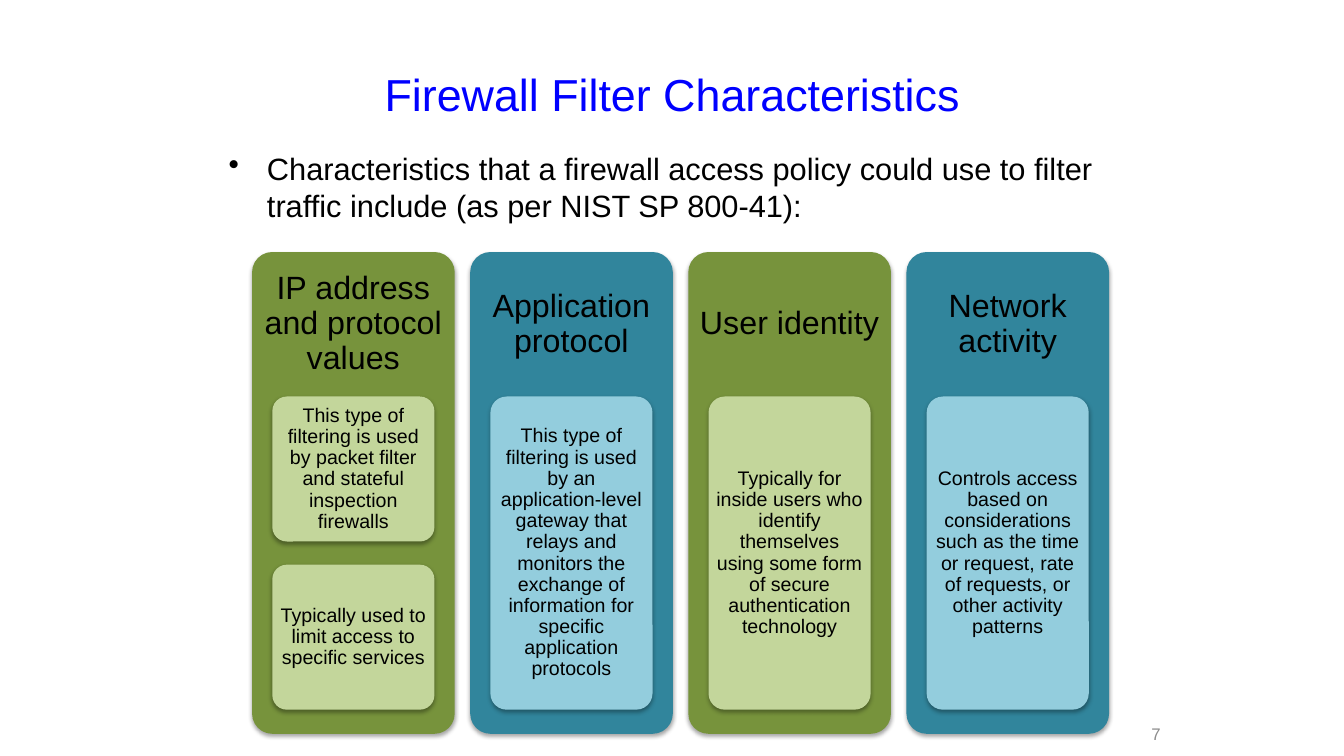
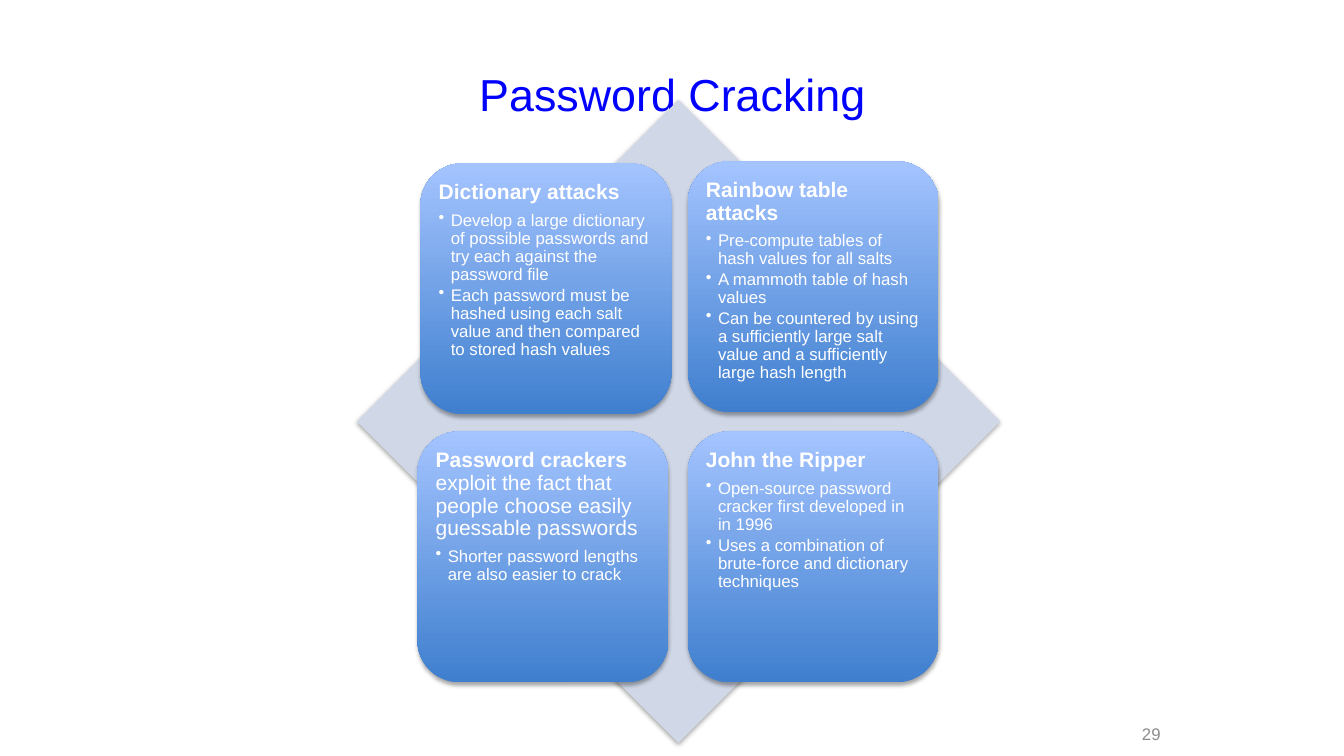
"""Build two security slides: firewall filter columns and a password cracking diamond."""
from lxml import etree
from pptx import Presentation
from pptx import util as u
from pptx.dml.color import RGBColor
from pptx.enum import shapes, text as t
from pptx.oxml.ns import qn

WIDTH, HEIGHT = 13.33, 7.5
FONT = "Arial"
BLUE, GREY, BLACK, WHITE = "0000FF", "8C8C8C", "000000", "FFFFFF"
GREEN_PAIR, TEAL_PAIR = ("77933C", "C3D69B"), ("31859C", "93CDDD")
DIAMOND, GRADIENT = "D0D8E8", ("3F7FCE", "A4C4FF")
LEFT, CENTER, RIGHT = t.PP_ALIGN.LEFT, t.PP_ALIGN.CENTER, t.PP_ALIGN.RIGHT
TOP, MIDDLE = t.MSO_ANCHOR.TOP, t.MSO_ANCHOR.MIDDLE
ROUNDED = shapes.MSO_SHAPE.ROUNDED_RECTANGLE

FILTER_INTRO = ("Characteristics that a firewall access policy could use to filter "
                "traffic include (as per NIST SP 800-41):")
FILTERS = [
    ("IP address and protocol values", GREEN_PAIR, [
        "This type of filtering is used by packet filter and stateful inspection firewalls",
        "Typically used to limit access to specific services"]),
    ("Application protocol", TEAL_PAIR, [
        "This type of filtering is used by an application-level gateway that relays and "
        "monitors the exchange of information for specific application protocols"]),
    ("User identity", GREEN_PAIR, [
        "Typically for inside users who identify themselves using some form of secure "
        "authentication technology"]),
    ("Network activity", TEAL_PAIR, [
        "Controls access based on considerations such as the time or request, rate of "
        "requests, or other activity patterns"]),
]
ATTACKS = [
    ((4.17, 1.62), "Dictionary attacks", "", [
        "Develop a large dictionary of possible passwords and try each against the password file",
        "Each password must be hashed using each salt value and then compared to stored "
        "hash values"]),
    ((6.82, 1.6), "Rainbow table attacks", "", [
        "Pre-compute tables of hash values for all salts",
        "A mammoth table of hash values",
        "Can be countered by using a sufficiently large salt value and a sufficiently "
        "large hash length"]),
    ((4.14, 4.28), "Password crackers ",
     "exploit the fact that people choose easily guessable passwords",
     ["Shorter password lengths are also easier to crack"]),
    ((6.82, 4.28), "John the Ripper", "", [
        "Open-source password cracker first developed in in 1996",
        "Uses a combination of brute-force and dictionary techniques"]),
]


def color(value):
    """Turn a hex string into a colour."""
    return RGBColor.from_string(value)


def place(left, top, width, height):
    """Turn inches into slide lengths."""
    return [u.Inches(length) for length in (left, top, width, height)]


def add_text(frame, content, size, fill=BLACK, bold=False, align=LEFT, bullet=0,
             spacing=None, after=0, tail=""):
    """Write one paragraph into a frame, with an optional bullet indent and plain tail."""
    paragraph = frame.paragraphs[0] if not frame.text else frame.add_paragraph()
    if bullet:
        properties = paragraph._p.get_or_add_pPr()
        properties.set("marL", str(u.Inches(bullet)))
        properties.set("indent", str(-u.Inches(bullet)))
        etree.SubElement(properties, qn("a:buChar"), char="•")
    paragraph.alignment = align
    paragraph.space_after = u.Pt(after)
    if spacing:
        paragraph.line_spacing = spacing
    for words, weight in ((content, bold), (tail, False)):
        if words:
            run = paragraph.add_run()
            run.text = words
            run.font.name, run.font.size, run.font.bold = FONT, u.Pt(size), weight
            run.font.color.rgb = color(fill)


def set_frame(shape, anchor, insets=(0.1, 0.05, 0.1, 0.05)):
    """Prepare a wrapping frame with left, top, right and bottom insets."""
    frame = shape.text_frame
    frame.word_wrap = True
    frame.vertical_anchor = anchor
    (frame.margin_left, frame.margin_top,
     frame.margin_right, frame.margin_bottom) = place(*insets)
    return frame


def add_panel(slide, kind, box, fill, corner=None):
    """Add a borderless shape with a soft shadow; a pair of colours makes a gradient."""
    panel = slide.shapes.add_shape(kind, *place(*box))
    if corner:
        panel.adjustments[0] = corner
    if isinstance(fill, tuple):
        panel.fill.gradient()
        panel.fill.gradient_angle = 90
        for stop, value in zip(panel.fill.gradient_stops, fill):
            stop.color.rgb = color(value)
    else:
        panel.fill.solid()
        panel.fill.fore_color.rgb = color(fill)
    panel.line.fill.background()
    panel.shadow.inherit = False
    effects = panel._element.spPr.find(qn("a:effectLst"))
    shadow = etree.SubElement(effects, qn("a:outerShdw"), blurRad=str(u.Pt(3.1)),
                              dist=str(u.Pt(1.8)), dir="5400000", rotWithShape="0")
    shade = etree.SubElement(shadow, qn("a:srgbClr"), val=BLACK)
    etree.SubElement(shade, qn("a:alpha"), val="35000")
    return panel


def add_slide(presentation, title, number):
    """Add a title-only slide with its title and page number."""
    slide = presentation.slides.add_slide(presentation.slide_layouts[5])
    heading = slide.shapes.title
    heading.left, heading.top, heading.width, heading.height = place(0.67, 0.3, 12, 1.25)
    add_text(set_frame(heading, MIDDLE), title, 32, BLUE, align=CENTER)
    page = slide.shapes.add_textbox(*place(10.93, 7.2, 0.68, 0.15))
    add_text(set_frame(page, MIDDLE, (0.1, 0, 0.1, 0)), number, 12, GREY, align=RIGHT)
    return slide


def build_filters(presentation):
    """Draw the firewall filter columns and their cards."""
    slide = add_slide(presentation, "Firewall Filter Characteristics", "7")
    intro = slide.shapes.add_textbox(*place(2.17, 1.44, 9, 0.95))
    add_text(set_frame(intro, TOP), FILTER_INTRO, 22, bullet=0.38)
    left, top, span, width, height = 2.5, 2.5, 8.5, 2.01, 4.78
    header, cards_height, gap = 0.3 * height, 0.65 * height, 0.23
    pitch = (span - width) / (len(FILTERS) - 1)
    for index, (name, (dark, light), notes) in enumerate(FILTERS):
        x = left + index * pitch
        column = add_panel(slide, ROUNDED, (x, top, width, height), dark, 0.1)
        frame = set_frame(column, MIDDLE, (0.03, 0.04, 0.03, height - header + 0.04))
        add_text(frame, name, 23, align=CENTER, spacing=0.9)
        card_height = (cards_height - gap * (len(notes) - 1)) / len(notes)
        for row, note in enumerate(notes):
            y = top + header + row * (card_height + gap)
            box = (x + 0.1 * width, y, 0.8 * width, card_height)
            card = add_panel(slide, ROUNDED, box, light, 0.1)
            frame = set_frame(card, MIDDLE, (0.03, 0.03, 0.03, 0.03))
            add_text(frame, note, 14, align=CENTER, spacing=0.9)


def build_attacks(presentation):
    """Draw the diamond and the four password cracking tiles."""
    slide = add_slide(presentation, "Password Cracking", "29")
    add_panel(slide, shapes.MSO_SHAPE.DIAMOND, (3.54, 0.99, 6.38, 6.38), DIAMOND)
    side = 2.49
    for corner, name, tail, points in ATTACKS:
        tile = add_panel(slide, ROUNDED, (*corner, side, side), GRADIENT)
        frame = set_frame(tile, TOP, (0.06, 0.06, 0.06, 0.06))
        add_text(frame, name, 15, WHITE, bold=True, spacing=0.9, after=5.25, tail=tail)
        for point in points:
            add_text(frame, point, 12, WHITE, bullet=0.12, spacing=0.9, after=1.8)


def main():
    """Build and save the presentation."""
    presentation = Presentation()
    presentation.slide_width, presentation.slide_height = u.Inches(WIDTH), u.Inches(HEIGHT)
    build_filters(presentation)
    build_attacks(presentation)
    presentation.save("out.pptx")


if __name__ == "__main__":
    main()
